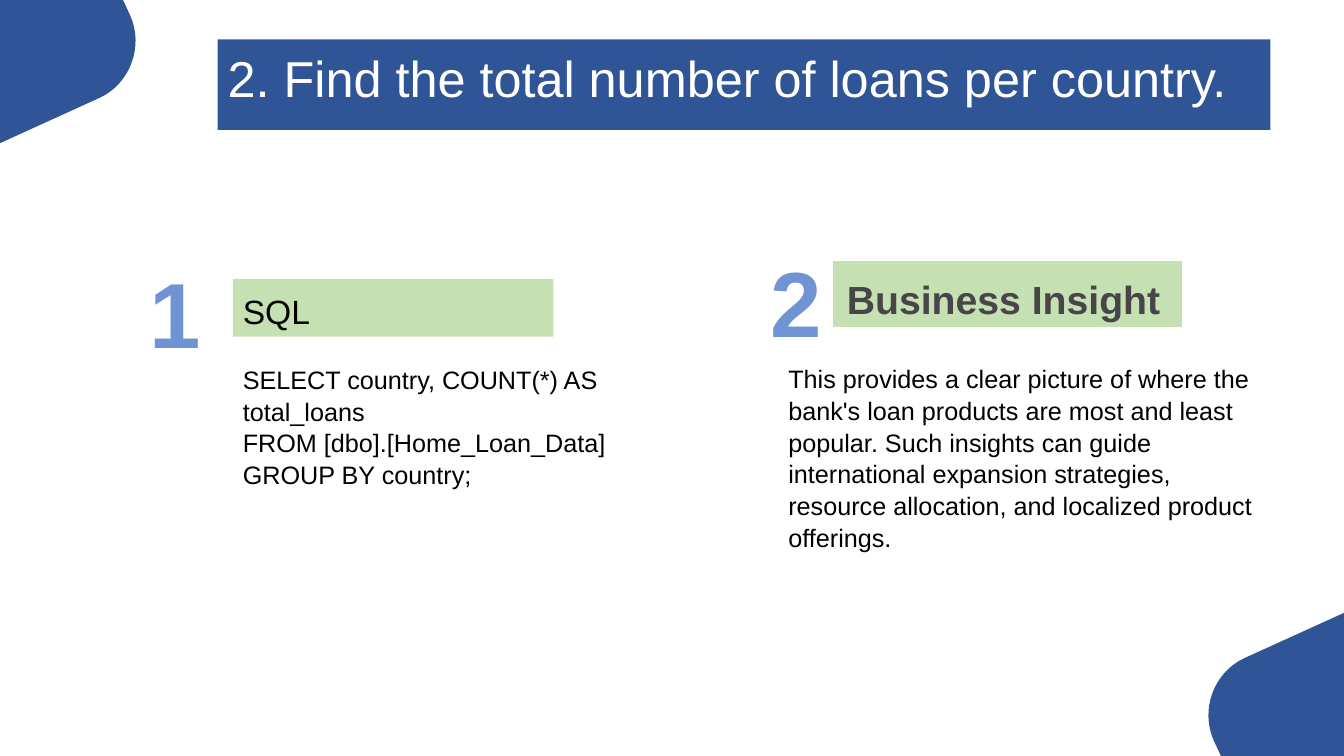
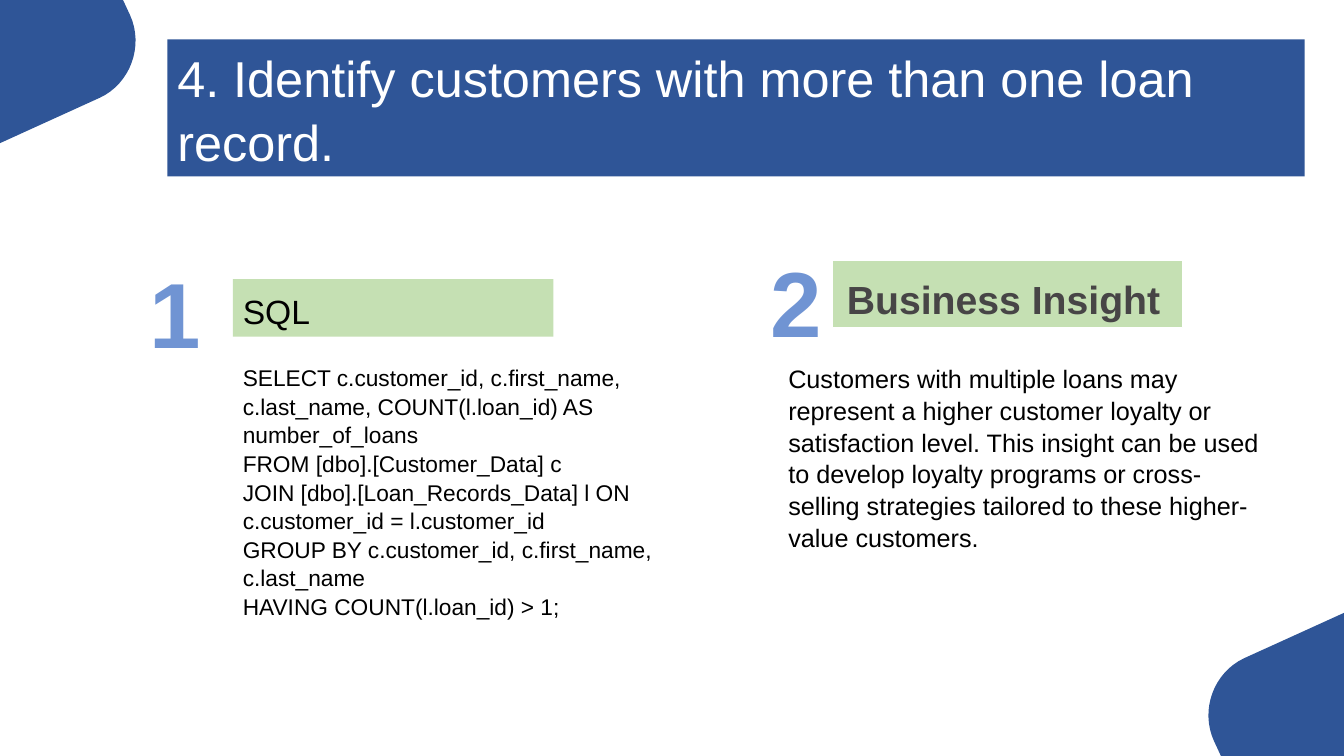
from dataclasses import dataclass

from pptx import Presentation
from pptx.dml.color import RGBColor
from pptx.enum.shapes import MSO_SHAPE
from pptx.enum.text import MSO_ANCHOR, PP_ALIGN
from pptx.util import Inches, Pt


@dataclass(frozen=True)
class Theme:
    blue: RGBColor = RGBColor(0x2F, 0x55, 0x97)
    light_blue: RGBColor = RGBColor(0x70, 0x94, 0xD3)
    green: RGBColor = RGBColor(0xC5, 0xE0, 0xB3)
    gray: RGBColor = RGBColor(0x47, 0x45, 0x46)
    black: RGBColor = RGBColor(0, 0, 0)
    white: RGBColor = RGBColor(0xFF, 0xFF, 0xFF)
    font: str = "Arial"
    title_size: float = 36
    number_size: float = 66
    sql_heading_size: float = 24
    insight_heading_size: float = 28
    body_size: float = 18
    dense_body_size: float = 16.2
    line_spacing: float = 1.05


THEME = Theme()
SLIDE_WIDTH, SLIDE_HEIGHT = 13.33, 7.5
SQL_ORIGIN = (1.38, 2.44)
INSIGHT_ORIGIN = (7.54, 2.33)

QUESTIONS = [
    {
        "title": "2. Find the total number of loans per country.",
        "title_box": (2.16, 0.39, 10.44, 0.9),
        "query": [
            "SELECT country, COUNT(*) AS total_loans",
            "FROM [dbo].[Home_Loan_Data]",
            "GROUP BY country;",
        ],
        "query_extent": (4.53, 1.8),
        "query_size": THEME.body_size,
        "insight": "This provides a clear picture of where the bank's loan products "
                   "are most and least popular. Such insights can guide international "
                   "expansion strategies, resource allocation, and localized product "
                   "offerings.",
    },
    {
        "title": "4. Identify customers with more than one loan record.",
        "title_box": (1.66, 0.39, 11.28, 1.36),
        "query": [
            "SELECT c.customer_id, c.first_name, c.last_name, "
            "COUNT(l.loan_id) AS number_of_loans",
            "FROM [dbo].[Customer_Data] c",
            "JOIN [dbo].[Loan_Records_Data] l ON c.customer_id = l.customer_id",
            "GROUP BY c.customer_id, c.first_name, c.last_name",
            "HAVING COUNT(l.loan_id) > 1;",
        ],
        "query_extent": (5.1, 2.1),
        "query_size": THEME.dense_body_size,
        "insight": "Customers with multiple loans may represent a higher customer "
                   "loyalty or satisfaction level. This insight can be used to develop "
                   "loyalty programs or cross-selling strategies tailored to these "
                   "higher-value customers.",
    },
]


def write(shape, lines, size, color, bold=False, anchor=MSO_ANCHOR.TOP):
    frame = shape.text_frame
    frame.word_wrap = True
    frame.vertical_anchor = anchor
    frame.text = "\n".join(lines)
    for paragraph in frame.paragraphs:
        paragraph.alignment = PP_ALIGN.LEFT
        paragraph.line_spacing = THEME.line_spacing
        paragraph.font.name = THEME.font
        paragraph.font.size = Pt(size)
        paragraph.font.bold = bold
        paragraph.font.color.rgb = color


def add_text(slide, box, lines, size, color, bold=False):
    write(slide.shapes.add_textbox(*map(Inches, box)), lines, size, color, bold)


def add_band(slide, box, fill):
    band = slide.shapes.add_shape(MSO_SHAPE.RECTANGLE, *map(Inches, box))
    band.shadow.inherit = False
    band.fill.solid()
    band.fill.fore_color.rgb = fill
    band.line.fill.background()
    return band


def bezier(start, control_1, control_2, end, steps=16):
    """Return points along a cubic curve, without its start."""
    points = []
    for step in range(1, steps + 1):
        t = step / steps
        weights = ((1 - t) ** 3, 3 * t * (1 - t) ** 2, 3 * t ** 2 * (1 - t), t ** 3)
        points.append(tuple(
            sum(w * value for w, value in zip(weights, axis))
            for axis in zip(start, control_1, control_2, end)
        ))
    return points


def add_corners(slide):
    """Place a rounded corner at top left and its half-turn at bottom right."""
    bend = (1.29, 0.15)
    top_left = [(0, 0), (1.22, 0), bend,
                *bezier(bend, (1.43, 0.46), (1.29, 0.83), (0.99, 0.97)),
                (0, 1.42)]
    bottom_right = [(SLIDE_WIDTH - x, SLIDE_HEIGHT - y) for x, y in top_left]
    for outline in (bottom_right, top_left):
        points = [(Inches(x), Inches(y)) for x, y in outline]
        builder = slide.shapes.build_freeform(*points[0])
        builder.add_line_segments(points[1:], close=True)
        corner = builder.convert_to_shape()
        corner.shadow.inherit = False
        corner.fill.solid()
        corner.fill.fore_color.rgb = THEME.blue
        corner.line.fill.background()


def add_number(slide, left, top, number):
    add_text(slide, (left, top, 2.05, 1.21), [number], THEME.number_size,
             THEME.light_blue, bold=True)


def add_sql(slide, origin, query, extent, size):
    left, top = origin
    add_number(slide, left, top, "1")
    heading = add_band(slide, (left + 0.93, top + 0.33, 3.18, 0.57), THEME.green)
    write(heading, ["SQL"], THEME.sql_heading_size, THEME.black,
          anchor=MSO_ANCHOR.BOTTOM)
    add_text(slide, (left + 0.93, top + 1.11, *extent), query, size, THEME.black)


def add_insight(slide, origin, insight):
    left, top = origin
    add_number(slide, left, top, "2")
    heading = add_band(slide, (left + 0.72, top + 0.25, 3.47, 0.67), THEME.green)
    heading.line.color.rgb = THEME.white
    heading.line.width = Pt(1)
    heading.text_frame.margin_left = Inches(0.14)
    write(heading, ["Business Insight"], THEME.insight_heading_size, THEME.gray,
          bold=True, anchor=MSO_ANCHOR.BOTTOM)
    add_text(slide, (left + 0.18, top + 1.21, 4.88, 2.49), [insight],
             THEME.body_size, THEME.black)


def add_question_slide(deck, question):
    slide = deck.slides.add_slide(deck.slide_layouts[6])
    add_corners(slide)
    add_sql(slide, SQL_ORIGIN, question["query"], question["query_extent"],
            question["query_size"])
    add_insight(slide, INSIGHT_ORIGIN, question["insight"])
    title = add_band(slide, question["title_box"], THEME.blue)
    write(title, [question["title"]], THEME.title_size, THEME.white)


def main():
    deck = Presentation()
    deck.slide_width = Inches(SLIDE_WIDTH)
    deck.slide_height = Inches(SLIDE_HEIGHT)
    for question in QUESTIONS:
        add_question_slide(deck, question)
    deck.save("out.pptx")


if __name__ == "__main__":
    main()
